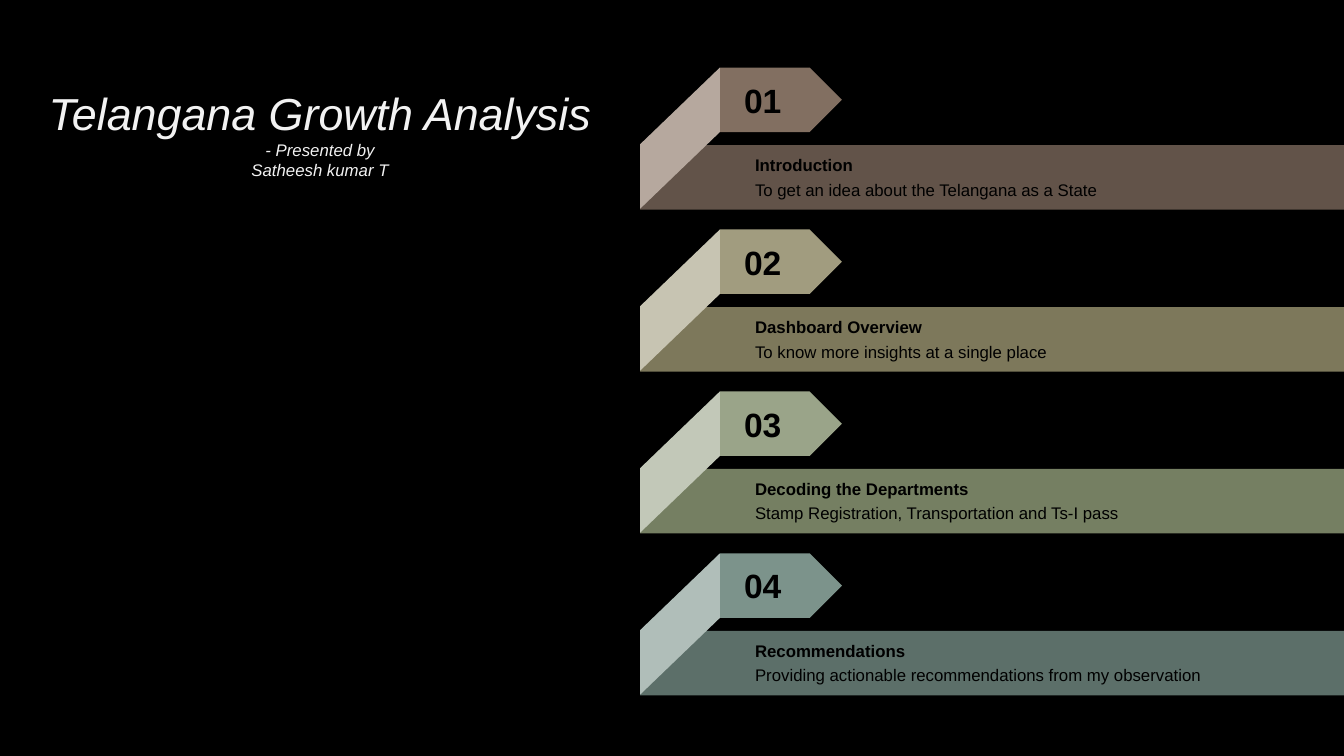
from pptx import Presentation
from pptx.dml.color import RGBColor
from pptx.enum.shapes import MSO_SHAPE
from pptx.enum.text import MSO_ANCHOR, MSO_AUTO_SIZE, PP_ALIGN
from pptx.oxml.ns import qn
from pptx.util import Inches, Pt

ITEMS = [
    ("Introduction", "To get an idea about the Telangana as a State",
     "625349", "826F61", "B6A89E"),
    ("Dashboard Overview", "To know more insights at a single place",
     "7D785B", "A19C7F", "C7C4B2"),
    ("Decoding the Departments", "Stamp Registration, Transportation and Ts-I pass",
     "757F62", "9AA489", "C2C8B8"),
    ("Recommendations", "Providing actionable recommendations from my observation",
     "5C6F69", "7C938B", "B0BEB9"),
]
FIRST_TOP, LAST_TOP = 0.67, 5.49


def rgb(code):
    """Return the colour for a hex string."""
    return RGBColor.from_string(code)


def style_run(r, size, color, bold=False, italic=False):
    """Format one run in the slide's font."""
    r.font.name = "Arial"
    r.font.size = Pt(size)
    r.font.bold = bold
    r.font.italic = italic
    r.font.color.rgb = rgb(color)


def add_block(grp, kind, x, y, w, h, color):
    """Add a plain filled shape to a group."""
    sp = grp.shapes.add_shape(kind, Inches(x), Inches(y), Inches(w), Inches(h))
    sp.shadow.inherit = False
    sp.fill.solid()
    sp.fill.fore_color.rgb = rgb(color)
    sp.line.fill.background()
    return sp


def add_label(grp, text, x, y, w, h, size, bold=False, align=PP_ALIGN.LEFT):
    """Add a black one-line label to a group."""
    tf = grp.shapes.add_textbox(Inches(x), Inches(y), Inches(w), Inches(h)).text_frame
    tf.word_wrap = True
    tf.auto_size = MSO_AUTO_SIZE.SHAPE_TO_FIT_TEXT
    tf.text = text
    p = tf.paragraphs[0]
    p.alignment = align
    style_run(p.runs[0], size, "000000", bold)


def add_title(s, x, y, w, h):
    """Fill the title placeholder with the title and the presenter."""
    sp = s.shapes.title
    sp.left, sp.top, sp.width, sp.height = Inches(x), Inches(y), Inches(w), Inches(h)
    tf = sp.text_frame
    tf.word_wrap = True
    tf.auto_size = MSO_AUTO_SIZE.SHAPE_TO_FIT_TEXT
    tf.vertical_anchor = MSO_ANCHOR.MIDDLE
    tf.text = "Telangana Growth Analysis\n- Presented by\nSatheesh kumar T"
    for p, size in zip(tf.paragraphs, (32, 12, 12)):
        p.alignment = PP_ALIGN.CENTER
        style_run(p.runs[0], size, "F2F2F2", italic=True)


def add_item(s, x, y, w, number, item):
    """Draw one folded ribbon with its number, heading and description."""
    heading, description, bar_color, tag_color, fold_color = item
    band, fold_w, fold_h = 0.64, 0.79, 1.4
    grp = s.shapes.add_group_shape()
    add_block(grp, MSO_SHAPE.RECTANGLE, x, y + 0.77, w, band, bar_color)
    add_block(grp, MSO_SHAPE.PENTAGON, x + fold_w, y, 1.21, band, tag_color)
    add_label(grp, description, x + 1.04, y + 1.06, 5.72, 0.3, 12)
    add_label(grp, heading, x + 1.04, y + 0.82, 5.72, 0.3, 12, bold=True)
    fold = add_block(grp, MSO_SHAPE.PARALLELOGRAM, x + (fold_w - fold_h) / 2,
                     y + (fold_h - fold_w) / 2, fold_h, fold_w, fold_color)
    fold.adjustments[0] = 0.962
    fold.rotation = 90
    fold.element.spPr.find(qn("a:xfrm")).set("flipH", "1")
    add_label(grp, f"{number:02d}", x + fold_w, y + 0.07, 0.85, 0.5, 24,
              bold=True, align=PP_ALIGN.CENTER)


def main():
    """Build and save the slide."""
    prs = Presentation()
    prs.slide_width, prs.slide_height = Inches(13.33), Inches(7.5)
    s = prs.slides.add_slide(prs.slide_layouts[5])
    s.background.fill.solid()
    s.background.fill.fore_color.rgb = rgb("000000")
    add_title(s, 0, 0.8, 6.35, 1.04)
    pitch = (LAST_TOP - FIRST_TOP) / (len(ITEMS) - 1)
    for i, item in enumerate(ITEMS):
        add_item(s, 6.35, FIRST_TOP + i * pitch, 6.98, i + 1, item)
    prs.save("out.pptx")


if __name__ == "__main__":
    main()
